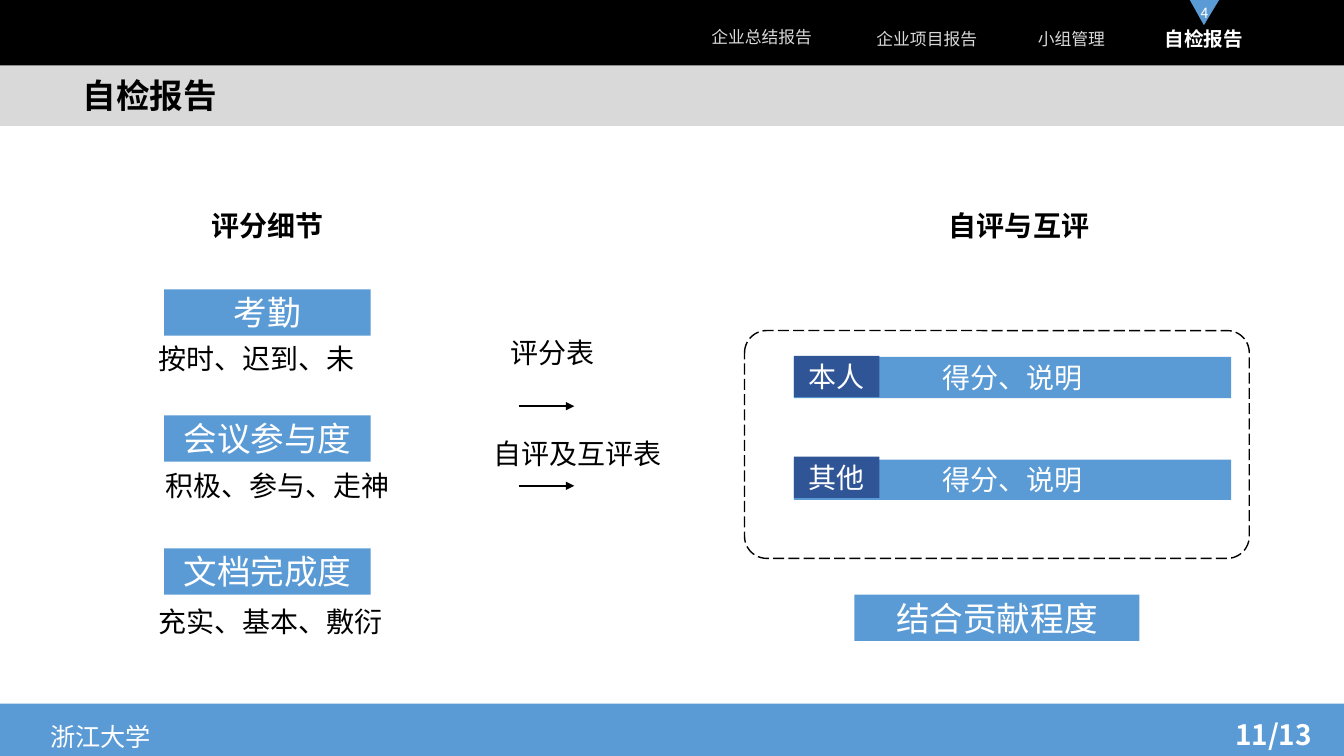
from lxml import etree
from pptx import Presentation
from pptx.dml.color import RGBColor
from pptx.enum.dml import MSO_LINE
from pptx.enum.shapes import MSO_CONNECTOR, MSO_SHAPE
from pptx.enum.text import MSO_ANCHOR, PP_ALIGN
from pptx.oxml.ns import qn
from pptx.util import Inches, Pt

FONT = "Noto Sans CJK SC"
BLACK = RGBColor(0x00, 0x00, 0x00)
WHITE = RGBColor(0xFF, 0xFF, 0xFF)
GRAY = RGBColor(0xD9, 0xD9, 0xD9)
BLUE = RGBColor(0x5B, 0x9B, 0xD5)
NAVY = RGBColor(0x2F, 0x55, 0x97)
RECTANGLE = MSO_SHAPE.RECTANGLE
ROUNDED = MSO_SHAPE.ROUNDED_RECTANGLE
STRAIGHT = MSO_CONNECTOR.STRAIGHT
LONG_DASH = MSO_LINE.LONG_DASH
TOP, MIDDLE = MSO_ANCHOR.TOP, MSO_ANCHOR.MIDDLE
LEFT, CENTER = PP_ALIGN.LEFT, PP_ALIGN.CENTER

presentation = Presentation()
presentation.slide_width = Inches(13.34)
presentation.slide_height = Inches(7.5)
slide = presentation.slides.add_slide(presentation.slide_layouts[5])
shapes = slide.shapes


def write(shape, text, size, color, bold=False, align=CENTER, anchor=MIDDLE):
    frame = shape.text_frame
    frame.text = text
    frame.word_wrap = True
    frame.vertical_anchor = anchor
    paragraph = frame.paragraphs[0]
    paragraph.alignment = align
    font = paragraph.runs[0].font
    font.size = Pt(size)
    font.bold = bold
    font.color.rgb = color
    font.name = FONT
    latin = font._element.find(qn("a:latin"))
    east_asian = etree.Element(qn("a:ea"), typeface=FONT)
    latin.addnext(east_asian)
    return paragraph


def add_bar(left, top, width, height, color):
    bar = shapes.add_shape(RECTANGLE, Inches(left), Inches(top), Inches(width), Inches(height))
    bar.shadow.inherit = False
    bar.fill.solid()
    bar.fill.fore_color.rgb = color
    bar.line.fill.background()
    return bar


for top, height, color in [(0.6, 0.65, GRAY), (0, 0.65, BLACK), (6.98, 0.54, BLUE)]:
    add_bar(0, top, 13.34, height, color)

title = shapes.title
title.left, title.top, title.width, title.height = Inches(0.72), Inches(0.74), Inches(4.25), Inches(0.47)
write(title, "自检报告", 24, BLACK, True, LEFT, TOP).line_spacing = 0.9
shapes._spTree.append(title._element)

builder = shapes.build_freeform(Inches(11.81), 0)
builder.add_line_segments([(Inches(12.1), 0), (Inches(11.95), Inches(0.25))])
marker = builder.convert_to_shape()
marker.shadow.inherit = False
marker.fill.solid()
marker.fill.fore_color.rgb = BLUE
marker.line.fill.background()
write(marker, "4", 10, WHITE)

centered_labels = [
    ("企业总结报告", 6.9, 0.13, 1.32, 0.47, 12, GRAY, False),
    ("企业项目报告", 8.53, 0.18, 1.34, 0.41, 12, GRAY, False),
    ("小组管理", 9.91, 0.15, 1.45, 0.47, 12, GRAY, False),
    ("自检报告", 11.11, 0.15, 1.68, 0.47, 14, WHITE, True),
    ("评分细节", 1.91, 2.03, 1.49, 0.42, 20, BLACK, True),
    ("自评与互评", 9.16, 2.02, 1.91, 0.42, 20, BLACK, True),
]
for text, left, top, width, height, size, color, bold in centered_labels:
    label = shapes.add_textbox(Inches(left), Inches(top), Inches(width), Inches(height))
    write(label, text, size, color, bold)

heading_bars = [
    ("考勤", 1.63, 2.87, 2.05),
    ("会议参与度", 1.63, 4.12, 2.05),
    ("文档完成度", 1.63, 5.44, 2.05),
    ("结合贡献程度", 8.48, 5.9, 2.83),
]
for text, left, top, width in heading_bars:
    write(add_bar(left, top, width, 0.46, BLUE), text, 24, WHITE)

body_labels = [
    ("按时、迟到、未", 1.47, 3.34, 2.55),
    ("积极、参与、走神", 1.54, 4.6, 2.55),
    ("充实、基本、敷衍", 1.47, 5.95, 2.55),
    ("评分表", 4.97, 3.28, 1.15),
    ("自评及互评表", 4.8, 4.28, 1.9),
]
for text, left, top, width in body_labels:
    label = shapes.add_textbox(Inches(left), Inches(top), Inches(width), Inches(0.44))
    write(label, text, 20, BLACK, align=LEFT, anchor=TOP)

for top in (4.03, 4.82):
    arrow = shapes.add_connector(STRAIGHT, Inches(5.15), Inches(top), Inches(5.7), Inches(top))
    arrow.line.color.rgb = BLACK
    arrow.line.width = Pt(1.5)
    etree.SubElement(arrow.line._get_or_add_ln(), qn("a:tailEnd"), type="triangle")
    etree.SubElement(arrow._element.spPr, qn("a:effectLst"))

frame_box = shapes.add_shape(ROUNDED, Inches(7.39), Inches(3.28), Inches(5.01), Inches(2.26))
frame_box.adjustments[0] = 0.097
frame_box.shadow.inherit = False
frame_box.fill.background()
frame_box.line.color.rgb = BLACK
frame_box.line.width = Pt(1)
frame_box.line.dash_style = LONG_DASH

for person, bar_top, bar_height, tag_top in [("本人", 3.54, 0.41, 3.53), ("其他", 4.56, 0.4, 4.53)]:
    write(add_bar(7.88, bar_top, 4.34, bar_height, BLUE), "得分、说明", 20, WHITE)
    write(add_bar(7.88, tag_top, 0.85, 0.41, NAVY), person, 20, WHITE)

university = shapes.add_textbox(Inches(0.4), Inches(7.05), Inches(1.9), Inches(0.46))
write(university, "浙江大学", 18, WHITE, align=LEFT, anchor=TOP).line_spacing = 1.2
page_number = shapes.add_textbox(Inches(12.16), Inches(7.07), Inches(1.15), Inches(0.44))
write(page_number, "11/13", 20, WHITE, True, LEFT, TOP)

presentation.save("out.pptx")
